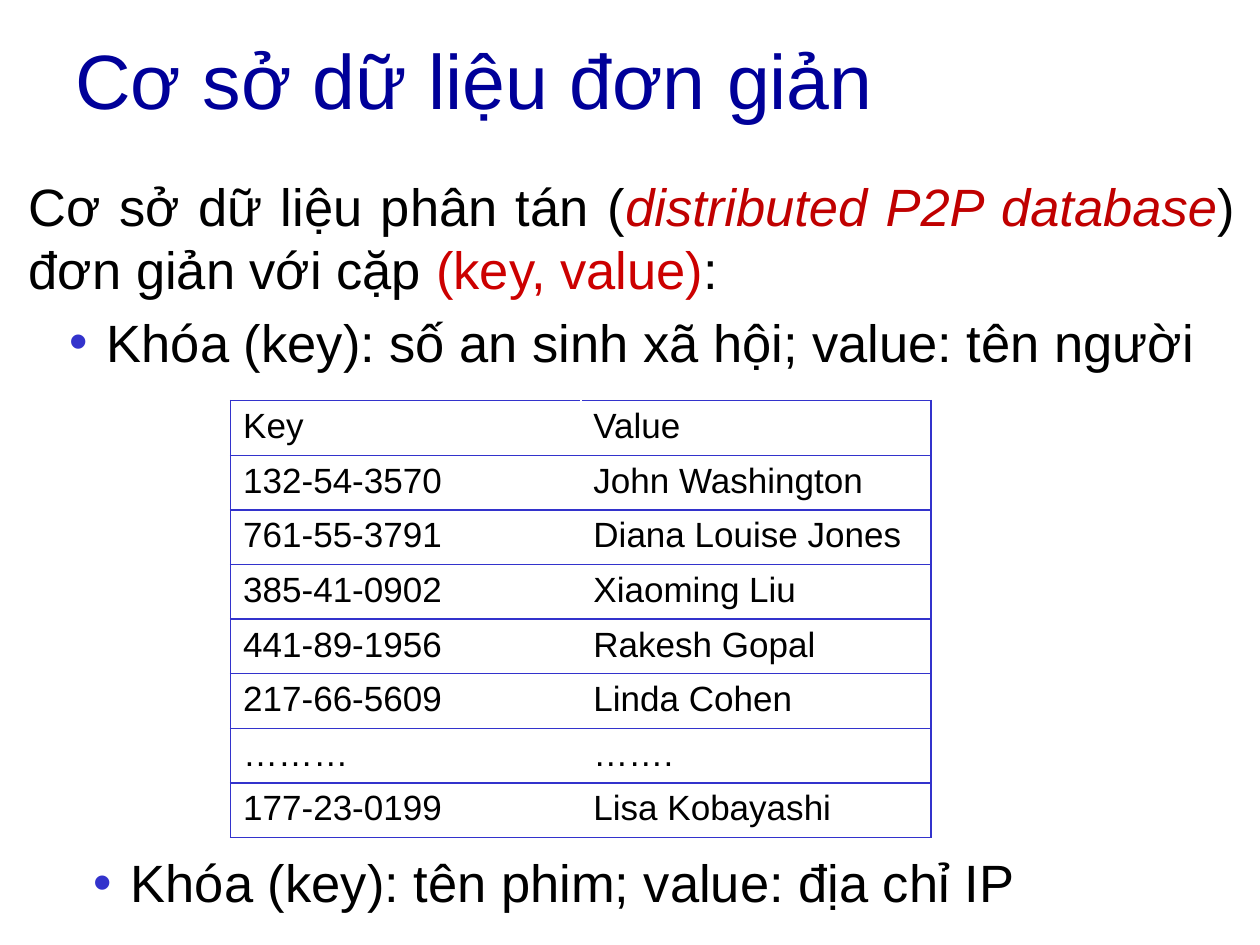
from lxml.etree import SubElement
from pptx import Presentation
from pptx.dml.color import RGBColor
from pptx.enum.text import MSO_ANCHOR, PP_ALIGN
from pptx.oxml.ns import qn
from pptx.util import Inches, Pt

COLORS = {
    "title": "000099",
    "text": "000000",
    "term": "C00000",
    "pair": "CC0000",
    "accent": "3333CC",
    "cell": "FFFFFF",
}
RECORDS = [
    ("Key", "Value"),
    ("132-54-3570", "John Washington"),
    ("761-55-3791", "Diana Louise Jones"),
    ("385-41-0902", "Xiaoming Liu"),
    ("441-89-1956", "Rakesh Gopal"),
    ("217-66-5609", "Linda Cohen"),
    ("………", "……."),
    ("177-23-0199", "Lisa Kobayashi"),
]
INTRO = [
    ("Cơ sở dữ liệu phân tán (", "text", False),
    ("distributed P2P database", "term", True),
    (") đơn giản với cặp ", "text", False),
    ("(key, value)", "pair", False),
    (":", "text", False),
]


def style_run(run, size, color, italic=False):
    """Give a run its font, size, colour and slant."""
    run.font.name = "Arial"
    run.font.size = Pt(size)
    run.font.italic = italic
    run.font.color.rgb = RGBColor.from_string(COLORS[color])


def add_frame(slide, box):
    """Add a wrapping text box and return its text frame."""
    frame = slide.shapes.add_textbox(*map(Inches, box)).text_frame
    frame.word_wrap = True
    return frame


def write_bullet(paragraph, text):
    """Write one bulleted example into a paragraph."""
    paragraph.level = 1
    properties = paragraph._p.get_or_add_pPr()
    properties.set("marL", str(Inches(0.62)))
    properties.set("indent", str(Inches(-0.3)))
    bullet_color = SubElement(properties, qn("a:buClr"))
    SubElement(bullet_color, qn("a:srgbClr"), val=COLORS["accent"])
    SubElement(properties, qn("a:buFont"), typeface="Arial")
    SubElement(properties, qn("a:buChar"), char="•")
    paragraph.text = text
    style_run(paragraph.runs[0], 30, "text")


def add_title(slide, box):
    """Place the slide title."""
    frame = add_frame(slide, box)
    frame.vertical_anchor = MSO_ANCHOR.MIDDLE
    frame.text = "Cơ sở dữ liệu đơn giản"
    style_run(frame.paragraphs[0].runs[0], 44, "title")


def add_intro(slide, box):
    """Place the definition and the first key example."""
    frame = add_frame(slide, box)
    definition = frame.paragraphs[0]
    definition.alignment = PP_ALIGN.JUSTIFY
    for text, color, italic in INTRO:
        run = definition.add_run()
        run.text = text
        style_run(run, 30, color, italic)
    example = frame.add_paragraph()
    write_bullet(example, "Khóa (key): số an sinh xã hội; value: tên người")
    example.alignment = PP_ALIGN.JUSTIFY
    example.space_before = Pt(6)


def add_film_example(slide, box):
    """Place the second key example."""
    frame = add_frame(slide, box)
    write_bullet(frame.paragraphs[0], "Khóa (key): tên phim; value: địa chỉ IP")


def draw_borders(cell, sides):
    """Draw thin accent lines on the given sides of a cell."""
    properties = cell._tc.get_or_add_tcPr()
    for side in sides:
        line = SubElement(properties, qn(f"a:ln{side}"), w=str(Pt(1)))
        fill = SubElement(line, qn("a:solidFill"))
        SubElement(fill, qn("a:srgbClr"), val=COLORS["accent"])


def add_records(slide, box):
    """Place the key and value table."""
    frame = slide.shapes.add_table(len(RECORDS), 2, *map(Inches, box))
    table = frame.table
    table.first_row = table.horz_banding = False
    for row, record in enumerate(RECORDS):
        for column, (text, sides) in enumerate(zip(record, ("LTB", "RTB"))):
            cell = table.cell(row, column)
            draw_borders(cell, sides)
            cell.fill.solid()
            cell.fill.fore_color.rgb = RGBColor.from_string(COLORS["cell"])
            cell.text = text
            style_run(cell.text_frame.paragraphs[0].runs[0], 20, "text")


def main():
    """Build and save the slide."""
    deck = Presentation()
    deck.slide_width, deck.slide_height = Inches(10), Inches(7.5)
    slide = deck.slides.add_slide(deck.slide_layouts[6])
    add_records(slide, (1.83, 3.18, 5.56, 3.47))
    add_intro(slide, (0.13, 1.33, 9.77, 2.32))
    add_title(slide, (0.5, 0, 9, 1.25))
    add_film_example(slide, (0.32, 6.7, 9.58, 0.6))
    deck.save("out.pptx")


if __name__ == "__main__":
    main()
